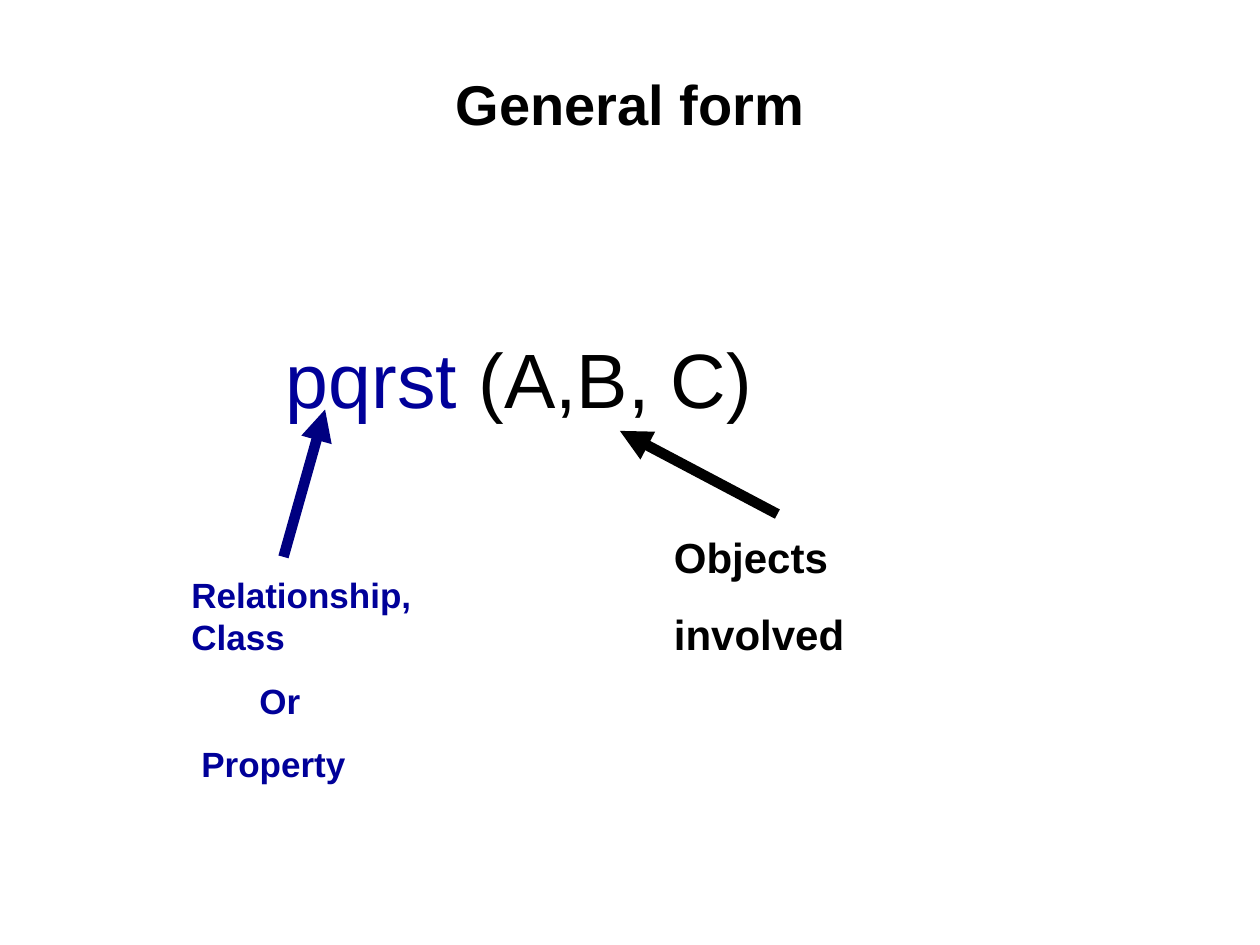
from lxml.etree import SubElement
from pptx import Presentation
from pptx.dml.color import RGBColor
from pptx.enum.shapes import MSO_CONNECTOR
from pptx.enum.text import MSO_ANCHOR, PP_ALIGN
from pptx.oxml.ns import qn
from pptx.util import Inches, Pt

COLORS = {"black": "000000", "blue": "000099", "navy": "000080"}
TITLE = "General form"
FORMULA = {
    "place": (2.17, 2.58, 6.67, 0.84),
    "size": 44,
    "bold": False,
    "lines": [(0, [("pqrst", "blue"), (" (A,B, C)", "black")])],
}
CALLOUTS = [
    {
        "place": (1.42, 4.5, 2.33, 1.78),
        "size": 20,
        "bold": True,
        "lines": [
            (0, [("Relationship, Class", "blue")]),
            (0.54, [("Or", "blue")]),
            (0.08, [("Property", "blue")]),
        ],
        "arrow": ((2.25, 4.42), (2.58, 3.25), "navy"),
    },
    {
        "place": (5.25, 4.17, 2.58, 1.11),
        "size": 24,
        "bold": True,
        "lines": [(0, [("Objects", "black")]), (0, [("involved", "black")])],
        "arrow": ((6.17, 4.08), (4.92, 3.42), "black"),
    },
]
LINE_HEIGHT = 1.2
PARAGRAPH_GAP = 0.625


def color(name):
    return RGBColor.from_string(COLORS[name])


def add_span(para, text, color_name, size, bold):
    span = para.add_run()
    span.text = text
    for name, value in {"name": "Arial", "size": Pt(size), "bold": bold}.items():
        setattr(span.font, name, value)
    span.font.color.rgb = color(color_name)


def add_text(shapes, item):
    size = item["size"]
    frame = shapes.add_textbox(*map(Inches, item["place"])).text_frame
    frame.word_wrap = True
    for index, (indent, spans) in enumerate(item["lines"]):
        para = frame.add_paragraph() if index else frame.paragraphs[0]
        para.line_spacing = Pt(size * LINE_HEIGHT)
        para.space_before = Pt(size * PARAGRAPH_GAP if index else 0)
        if indent:
            para._p.get_or_add_pPr().set("marL", str(Inches(indent)))
        for text, color_name in spans:
            add_span(para, text, color_name, size, item["bold"])


def add_arrow(shapes, start, end, color_name):
    arrow = shapes.add_connector(
        MSO_CONNECTOR.STRAIGHT, *map(Inches, start + end)
    )
    arrow.line.color.rgb = color(color_name)
    arrow.line.width = Pt(6)
    SubElement(arrow.line._get_or_add_ln(), qn("a:tailEnd"), type="triangle")
    SubElement(arrow._element.spPr, qn("a:effectLst"))


def main():
    deck = Presentation()
    deck.slide_width, deck.slide_height = Inches(10), Inches(7.5)
    page = deck.slides.add_slide(deck.slide_layouts[5])

    title = page.shapes.title
    title_place = dict(zip(("left", "top", "width", "height"), (0.5, 0.3, 9, 1.03)))
    for name, value in title_place.items():
        setattr(title, name, Inches(value))
    title.text_frame.vertical_anchor = MSO_ANCHOR.MIDDLE
    para = title.text_frame.paragraphs[0]
    para.alignment = PP_ALIGN.CENTER
    add_span(para, TITLE, "black", 32, True)

    add_text(page.shapes, FORMULA)
    for callout in CALLOUTS:
        group = page.shapes.add_group_shape()
        add_text(group.shapes, callout)
        add_arrow(group.shapes, *callout["arrow"])

    deck.save("out.pptx")


if __name__ == "__main__":
    main()
